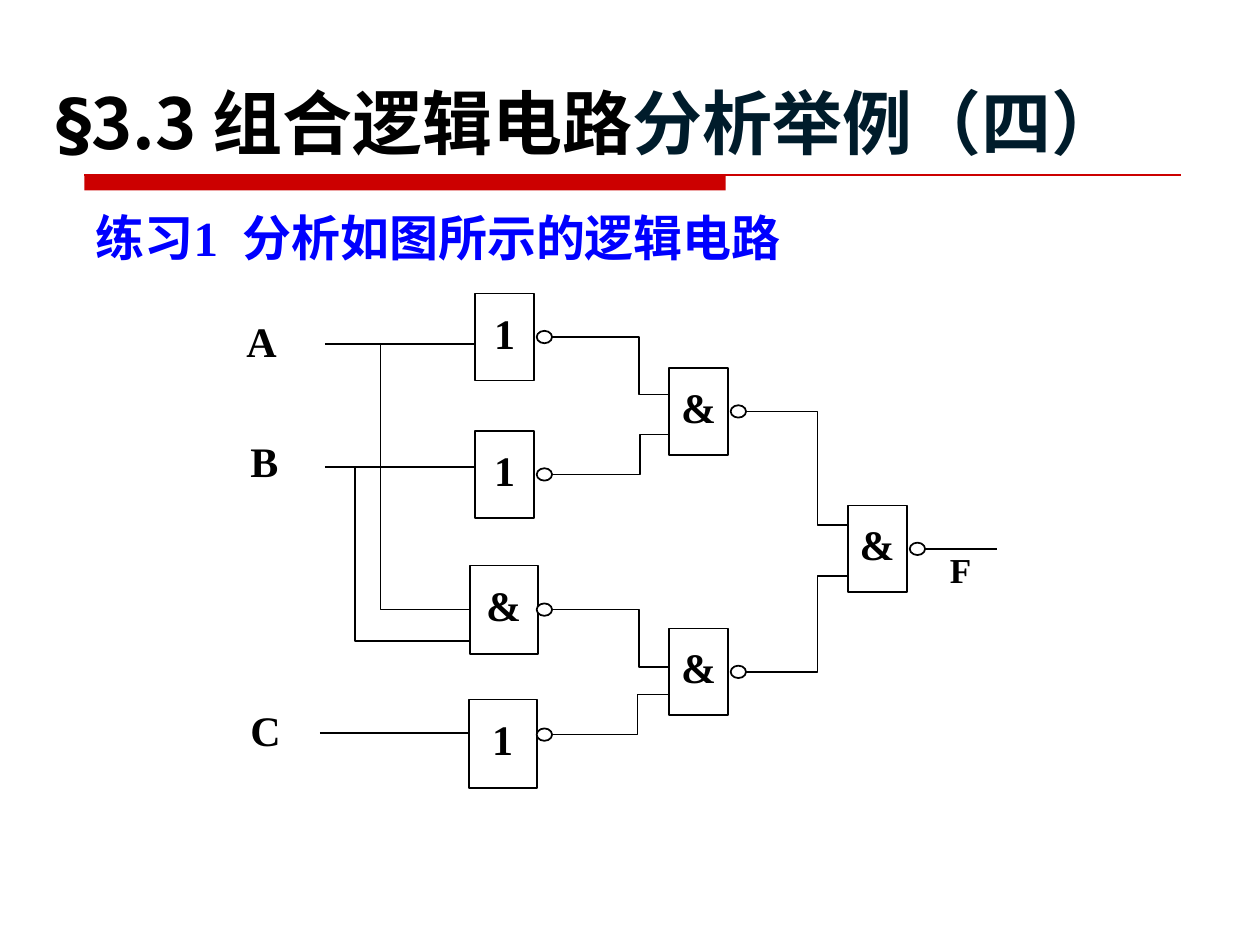
from lxml import etree
from pptx import Presentation
from pptx.dml.color import RGBColor
from pptx.enum.shapes import MSO_CONNECTOR, MSO_SHAPE
from pptx.enum.text import MSO_ANCHOR, PP_ALIGN
from pptx.oxml.ns import qn
from pptx.util import Cm, Pt

RECTANGLE, OVAL = MSO_SHAPE.RECTANGLE, MSO_SHAPE.OVAL
STRAIGHT, ELBOW = MSO_CONNECTOR.STRAIGHT, MSO_CONNECTOR.ELBOW
LEFT, CENTER = PP_ALIGN.LEFT, PP_ALIGN.CENTER
TOP, MIDDLE, BOTTOM = MSO_ANCHOR.TOP, MSO_ANCHOR.MIDDLE, MSO_ANCHOR.BOTTOM
SERIF, SANS, SYMBOL = "Times New Roman", "Noto Sans CJK SC", "DejaVu Sans"
BLACK, WHITE, RED, BLUE, NAVY = "000000", "FFFFFF", "CC0000", "0000FF", "001C2B"

# Content, all lengths in centimetres
TITLE = [("§", SYMBOL, BLACK), ("3.3 组合逻辑电路", SANS, BLACK),
         ("分析举例（四）", SANS, NAVY)]
EXERCISE = [("练习1  分析如图所示的逻辑电路", SERIF, BLUE)]

SMALL, LARGE = (1.19, 1.75), (1.37, 1.78)
BUBBLE = (0.31, 0.25)
# name: (symbol, left, top, size, bubble left, bubble offset from gate middle)
GATES = {
    "not A": ("1", 9.58, 5.92, SMALL, 10.82, 0),
    "not B": ("1", 9.58, 8.69, SMALL, 10.82, 0),
    "nand AB": ("&", 9.47, 11.4, LARGE, 10.82, 0),
    "not C": ("1", 9.45, 14.1, LARGE, 10.82, -0.18),
    "upper": ("&", 13.49, 7.42, SMALL, 14.73, 0),
    "lower": ("&", 13.49, 12.67, SMALL, 14.73, 0),
    "output": ("&", 17.09, 10.19, SMALL, 18.34, 0),
}
# source gate, target gate, bend x, height at the target
LINKS = [
    ("not A", "upper", 12.88, 7.95), ("not B", "upper", 12.9, 8.76),
    ("nand AB", "lower", 12.88, 13.44), ("not C", "lower", 12.85, 14.0),
    ("upper", "output", 16.48, 10.59), ("lower", "output", 16.48, 11.61),
]
# start x, y, target gate
INPUTS = [(6.55, 6.93, "not A"), (6.55, 9.42, "not B"), (6.45, 14.78, "not C")]
# branch x, y on the input wire, height at the NAND gate
BRANCHES = [(7.67, 6.93, 12.29), (7.16, 9.42, 12.93)]
OUTPUT_END = 20.09
# text, left, top, width, height, size, line spacing
LABELS = [
    ("A", 4.72, 6.43, 1.98, 1.07, 24, 0.8),
    ("B", 4.8, 8.84, 1.98, 1.07, 24, 0.8),
    ("C", 4.8, 14.27, 1.98, 1.07, 24, 0.8),
    ("F", 18.9, 10.92, 1.4, 1.12, 20, 1.0),
]


def color(value):
    return RGBColor.from_string(value)


def write(shape, spans, size, align=LEFT, anchor=TOP, spacing=1.0, wrap=True,
          margins=(0.25, 0.13, 0.25, 0.13)):
    """Fill a shape with one bold paragraph made of (text, font, colour) spans."""
    frame = shape.text_frame
    frame.word_wrap = wrap
    frame.vertical_anchor = anchor
    (frame.margin_left, frame.margin_top,
     frame.margin_right, frame.margin_bottom) = map(Cm, margins)
    para = frame.paragraphs[0]
    para.alignment, para.line_spacing = align, spacing
    for text, font, ink in spans:
        span = para.add_run()
        span.text = text
        span.font.name, span.font.size, span.font.bold = font, Pt(size), True
        span.font.color.rgb = color(ink)
        latin = span.font._element.find(qn("a:latin"))
        east_asian = etree.Element(qn("a:ea"), typeface=SANS)
        latin.addnext(east_asian)


def add_block(page, kind, left, top, size, fill=WHITE, line=BLACK):
    shape = page.shapes.add_shape(kind, Cm(left), Cm(top), *map(Cm, size))
    shape.shadow.inherit = False
    shape.fill.solid()
    shape.fill.fore_color.rgb = color(fill)
    if line:
        shape.line.color.rgb = color(line)
        shape.line.width = Pt(1)
    else:
        shape.line.fill.background()
    return shape


def add_wire(page, start, end, bend=None, ink=BLACK, width=1):
    """Join two points, straight or with a vertical run at x = bend."""
    kind = STRAIGHT if bend is None else ELBOW
    wire = page.shapes.add_connector(kind, *map(Cm, (*start, *end)))
    wire.line.color.rgb = color(ink)
    wire.line.width = Pt(width)
    properties = wire._element.spPr
    etree.SubElement(properties, qn("a:effectLst"))
    if bend is not None:
        share = round((bend - start[0]) / (end[0] - start[0]) * 100000)
        guides = properties.find(qn("a:prstGeom")).get_or_add_avLst()
        etree.SubElement(guides, qn("a:gd"), name="adj1", fmla=f"val {share}")


def add_text(page, spans, left, top, width, height, size, **style):
    box = page.shapes.add_textbox(*map(Cm, (left, top, width, height)))
    write(box, spans, size, **style)


def output_point(name):
    """Right-hand edge of a gate's inversion bubble."""
    _, _, top, size, bubble_left, offset = GATES[name]
    return bubble_left + BUBBLE[0], top + size[1] / 2 + offset


def main():
    deck = Presentation()
    deck.slide_width, deck.slide_height = Cm(25.4), Cm(19.05)
    page = deck.slides.add_slide(deck.slide_layouts[5])

    # Title, rule and exercise
    add_block(page, RECTANGLE, 1.7, 3.53, (12.93, 0.31), fill=RED, line=None)
    add_wire(page, (1.7, 3.53), (23.8, 3.53), ink=RED, width=0.75)
    title = page.shapes.title
    title.left, title.top, title.width, title.height = map(
        Cm, (0.89, 0.71, 24.0, 2.59))
    write(title, TITLE, 40, anchor=BOTTOM, margins=(0.25, 0, 0.25, 0))
    add_text(page, EXERCISE, 1.68, 4.06, 22.22, 1.63, 28)

    # Wires
    for x, y, target in INPUTS:
        add_wire(page, (x, y), (GATES[target][1], y))
    for x, y, end_y in BRANCHES:
        add_wire(page, (x, y), (GATES["nand AB"][1], end_y), bend=x)
    for source, target, bend, end_y in LINKS:
        add_wire(page, output_point(source), (GATES[target][1], end_y), bend=bend)
    start = output_point("output")
    add_wire(page, start, (OUTPUT_END, start[1]))

    # Gates with their inversion bubbles
    for name, (symbol, left, top, size, bubble_left, _) in GATES.items():
        gate = add_block(page, RECTANGLE, left, top, size)
        write(gate, [(symbol, SERIF, BLACK)], 24, align=CENTER, anchor=MIDDLE,
              spacing=0.8, wrap=False)
        bubble_top = output_point(name)[1] - BUBBLE[1] / 2
        add_block(page, OVAL, bubble_left, bubble_top, BUBBLE)

    # Signal names
    for text, left, top, width, height, size, spacing in LABELS:
        add_text(page, [(text, SERIF, BLACK)], left, top, width, height, size,
                 spacing=spacing)

    deck.save("out.pptx")


if __name__ == "__main__":
    main()
